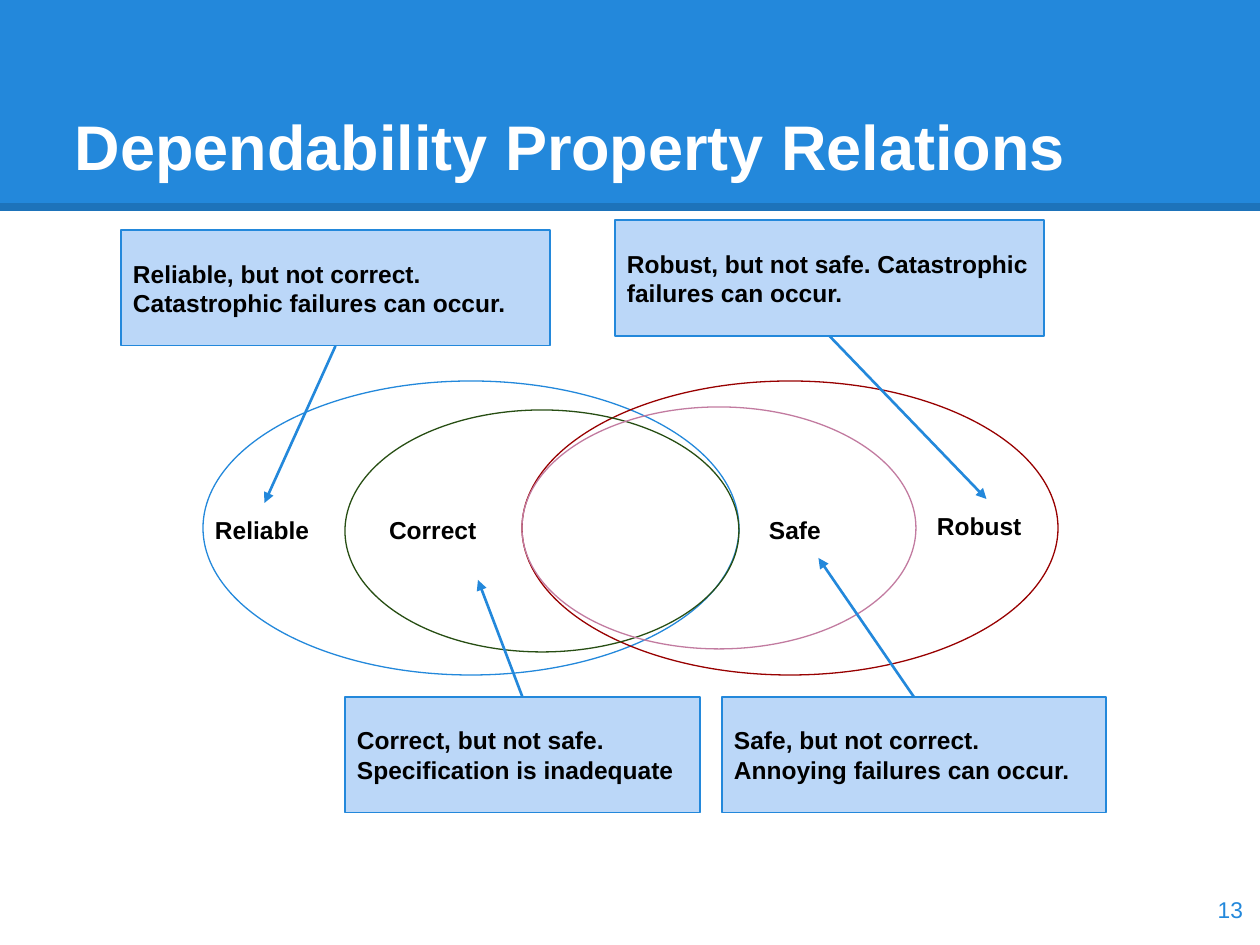
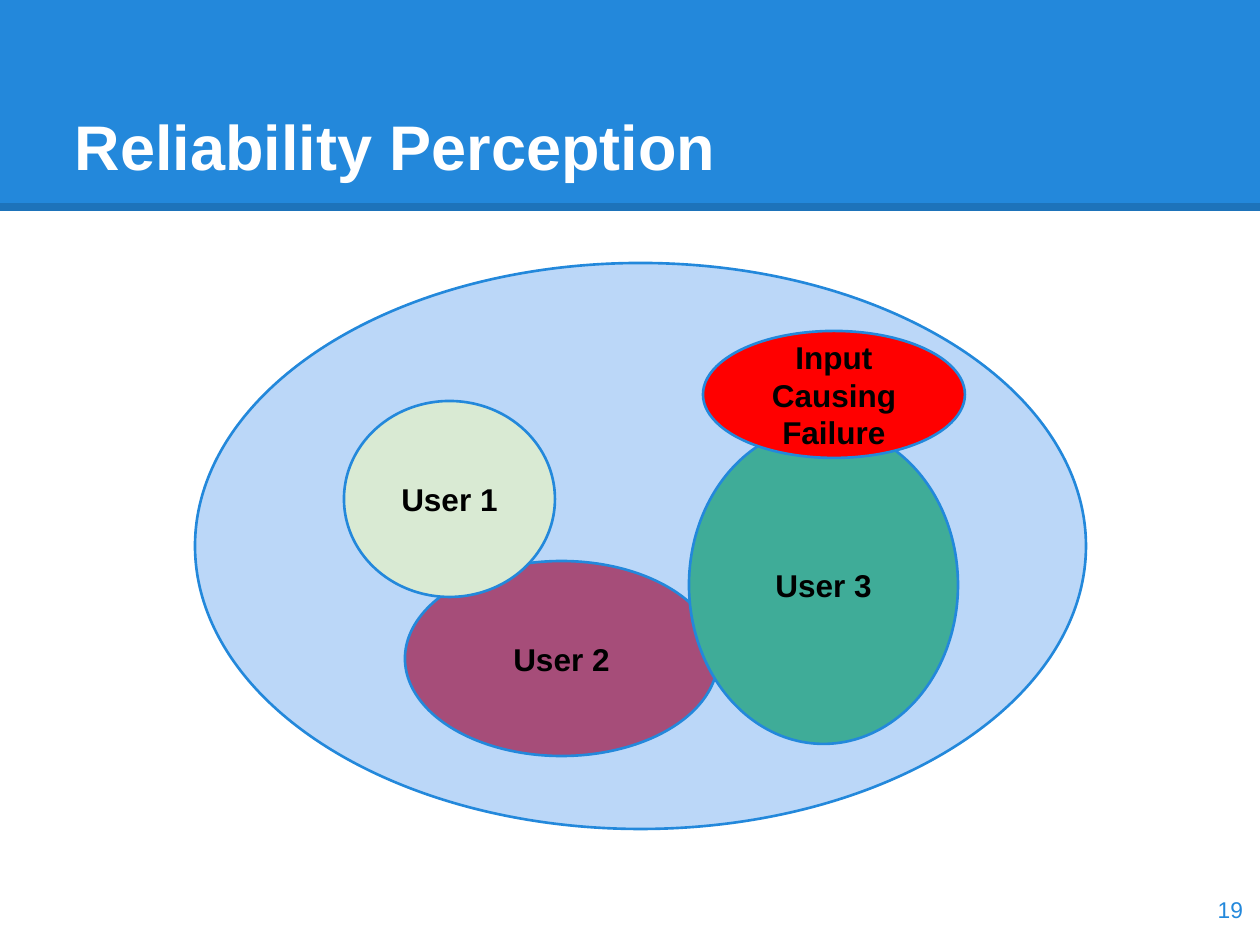
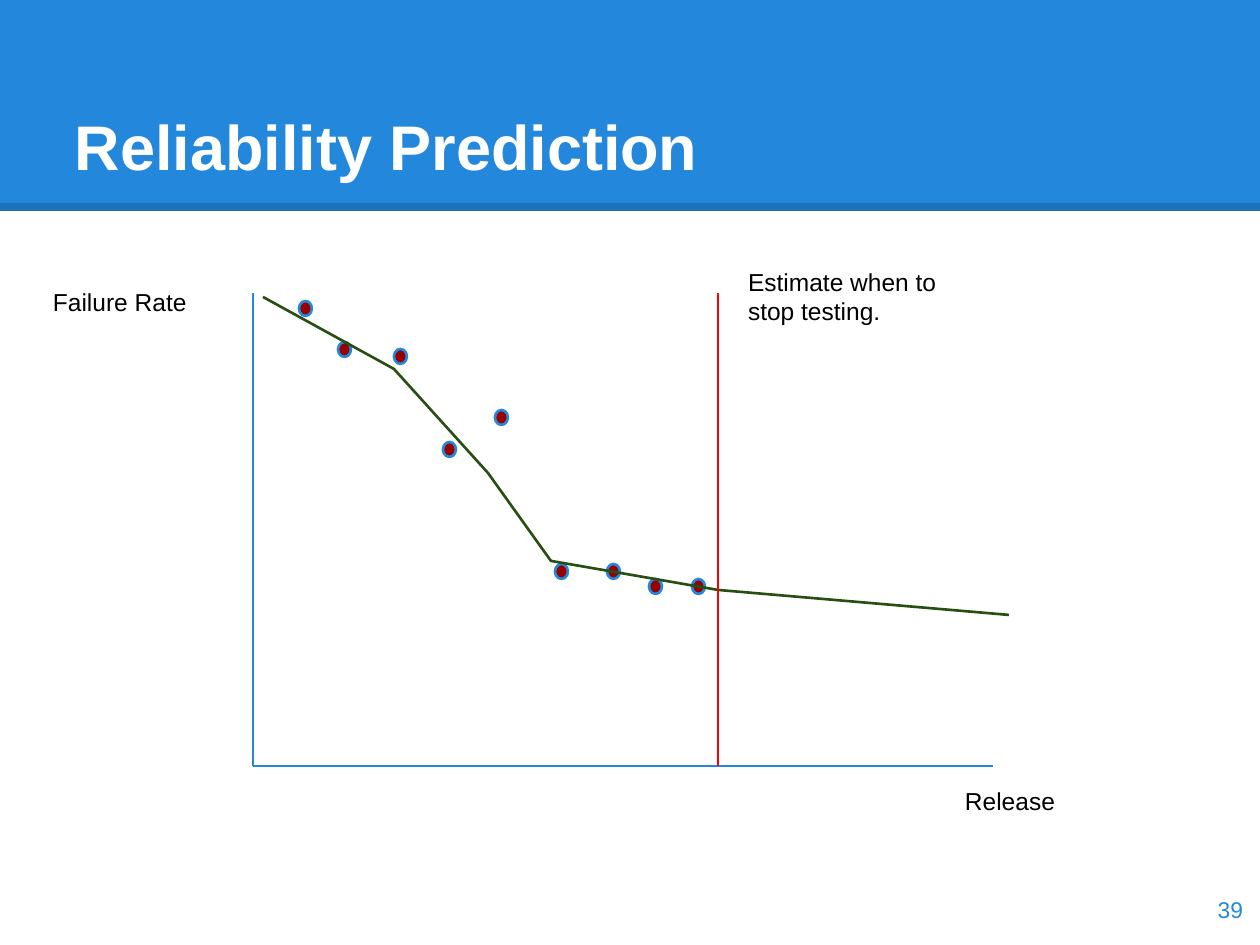
from dataclasses import dataclass

from lxml import etree
from pptx import Presentation
from pptx.dml.color import RGBColor
from pptx.enum.shapes import MSO_CONNECTOR, MSO_SHAPE
from pptx.enum.text import MSO_ANCHOR, PP_ALIGN
from pptx.oxml.ns import qn
from pptx.util import Pt

PX = 7257  # EMU per pixel, 126 pixels to the inch
RECTANGLE, ELLIPSE = MSO_SHAPE.RECTANGLE, MSO_SHAPE.OVAL
STRAIGHT = MSO_CONNECTOR.STRAIGHT
LEFT, CENTER, RIGHT = PP_ALIGN.LEFT, PP_ALIGN.CENTER, PP_ALIGN.RIGHT
TOP, MIDDLE, BOTTOM = MSO_ANCHOR.TOP, MSO_ANCHOR.MIDDLE, MSO_ANCHOR.BOTTOM
TOP_SIDE, BOTTOM_SIDE = 0, 2


@dataclass(frozen=True)
class Theme:
    font: str = "Arial"
    blue: str = "2388DB"
    pale_blue: str = "BBD7F8"
    white: str = "FFFFFF"
    black: str = "000000"
    dark_red: str = "980000"
    red: str = "FF0000"
    dark_green: str = "274E13"
    pale_green: str = "D9EAD3"
    teal: str = "3FAC98"
    pink: str = "C27BA0"
    plum: str = "A64D79"
    title_size: int = 36
    user_size: int = 18
    label_size: int = 14
    number_size: int = 13
    margin: int = 12
    thin: float = 0.75
    medium: float = 1.5
    thick: float = 4.5


theme = Theme()


def add_box(page, text, frame, *, geometry=None, fill=None, line=None, weight=theme.thin,
            size=theme.label_size, bold=False, color=theme.black, align=LEFT, anchor=TOP):
    """Add a text box, or a preset shape when a geometry is given."""
    frame = [length * PX for length in frame]
    if geometry is None:
        box = page.shapes.add_textbox(*frame)
    else:
        box = page.shapes.add_shape(geometry, *frame)
        box.shadow.inherit = False
        if fill:
            box.fill.solid()
            box.fill.fore_color.rgb = RGBColor.from_string(fill)
        else:
            box.fill.background()
        if line:
            box.line.color.rgb = RGBColor.from_string(line)
            box.line.width = Pt(weight)
        else:
            box.line.fill.background()
    if text:
        body = box.text_frame
        body.word_wrap = True
        body.vertical_anchor = anchor
        body.margin_left = body.margin_right = theme.margin * PX
        body.margin_top = body.margin_bottom = theme.margin * PX
        para = body.paragraphs[0]
        para.alignment = align
        span = para.add_run()
        span.text = text
        span.font.name = theme.font
        span.font.size = Pt(size)
        span.font.bold = bold
        span.font.color.rgb = RGBColor.from_string(color)
    return box


def add_line(page, start, end, *, color=theme.blue, weight=theme.medium, opacity=None, arrow=False):
    """Add a straight connector without a shadow."""
    connector = page.shapes.add_connector(STRAIGHT, *[length * PX for length in (*start, *end)])
    connector.line.color.rgb = RGBColor.from_string(color)
    connector.line.width = Pt(weight)
    properties = connector.element.spPr
    outline = properties.find(qn("a:ln"))
    if opacity:
        paint = outline.find(".//" + qn("a:srgbClr"))
        etree.SubElement(paint, qn("a:alpha"), val=str(opacity * 1000))
    if arrow:
        etree.SubElement(outline, qn("a:tailEnd"), type="triangle")
    etree.SubElement(properties, qn("a:effectLst"))
    return connector


deck = Presentation()
deck.slide_width, deck.slide_height = 1260 * PX, 945 * PX

# Shared header band, title and page number
pages = []
for title, number in (
    ("Dependability Property Relations", "13"),
    ("Reliability Perception", "19"),
    ("Reliability Prediction", "39"),
):
    page = deck.slides.add_slide(deck.slide_layouts[6])
    add_box(page, "", (0, 0, 1260, 211), geometry=RECTANGLE, fill=theme.blue)
    add_line(page, (0, 207), (1260, 207), color=theme.black, weight=theme.thick, opacity=15)
    add_box(page, title, (63, 38, 1134, 157), size=theme.title_size, bold=True,
            color=theme.white, anchor=BOTTOM)
    add_box(page, number, (1179, 873, 76, 72), size=theme.number_size, color=theme.blue,
            align=RIGHT, anchor=MIDDLE)
    pages.append(page)
relations, perception, prediction = pages

# Relations: overlapping property sets
for frame, color in (
    ((203, 381, 536, 294), theme.blue),
    ((522, 381, 536, 294), theme.dark_red),
    ((345, 410, 394, 242), theme.dark_green),
    ((522, 407, 394, 242), theme.pink),
):
    add_box(relations, "", frame, geometry=ELLIPSE, line=color)

# Relations: each label with its callout; an arrow joins a label side or ends at a free point
for name, label_at, note, note_frame, note_side, label_side, tip in (
    ("Correct", (377, 503), "Correct, but not safe. Specification is inadequate",
     (345, 697, 355, 116), TOP_SIDE, None, (478, 580)),
    ("Safe", (757, 503), "Safe, but not correct. Annoying failures can occur.",
     (722, 697, 384, 116), TOP_SIDE, BOTTOM_SIDE, (819, 558)),
    ("Robust", (925, 499), "Robust, but not safe. Catastrophic failures can occur.",
     (615, 220, 429, 116), BOTTOM_SIDE, TOP_SIDE, (986, 499)),
    ("Reliable", (203, 503), "Reliable, but not correct. Catastrophic failures can occur.",
     (121, 230, 429, 116), BOTTOM_SIDE, TOP_SIDE, (264, 503)),
):
    label = add_box(relations, name, (*label_at, 123, 55), bold=True)
    callout = add_box(relations, note, note_frame, geometry=RECTANGLE, fill=theme.pale_blue,
                      line=theme.blue, bold=True, anchor=MIDDLE)
    arrow = add_line(relations, note_frame[:2], tip, arrow=True)
    arrow.begin_connect(callout, note_side)
    if label_side is not None:
        arrow.end_connect(label, label_side)

# Perception: input space, users and failing inputs
for text, frame, fill in (
    ("", (195, 263, 891, 566), theme.pale_blue),
    ("User 2", (405, 561, 313, 195), theme.plum),
    ("User 1", (344, 401, 211, 196), theme.pale_green),
    ("User 3", (689, 426, 269, 318), theme.teal),
    ("Input Causing Failure", (703, 331, 262, 127), theme.red),
):
    add_box(perception, text, frame, geometry=ELLIPSE, fill=fill, line=theme.blue,
            weight=theme.medium, size=theme.user_size, bold=True, align=CENTER, anchor=MIDDLE)

# Prediction: axes and their names
origin = (253, 766)
add_line(prediction, (253, 293), origin)
add_line(prediction, origin, (993, 766))
add_box(prediction, "Failure Rate", (41, 275, 204, 67))
add_box(prediction, "Release", (953, 774, 204, 67))

# Prediction: observed failure rates
for left, top in (
    (299, 301), (338, 342), (394, 349), (443, 442), (495, 410),
    (555, 564), (607, 564), (649, 579), (692, 579),
):
    add_box(prediction, "", (left, top, 13, 15), geometry=ELLIPSE, fill=theme.dark_red,
            line=theme.blue, weight=theme.medium)

# Prediction: fitted curve
builder = prediction.shapes.build_freeform(263, 297, scale=PX)
builder.add_line_segments(
    [(394, 369), (488, 473), (551, 561), (718, 590), (1009, 615)], close=False)
curve = builder.convert_to_shape()
curve.shadow.inherit = False
curve.fill.background()
curve.line.color.rgb = RGBColor.from_string(theme.dark_green)
curve.line.width = Pt(theme.medium)

# Prediction: point at which testing stops
add_line(prediction, (718, 293), (718, 766), color=theme.red)
add_box(prediction, "Estimate when to stop testing.", (736, 255, 234, 77))

deck.save("out.pptx")
